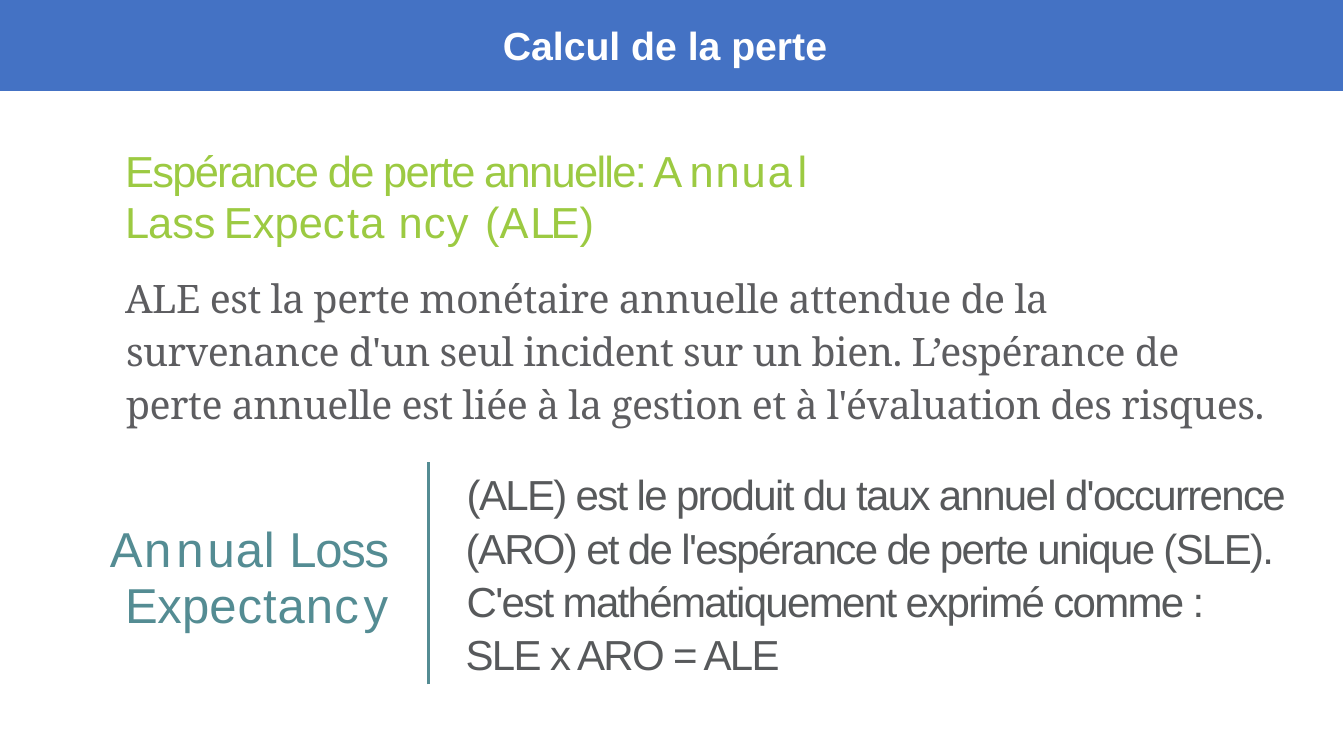
from dataclasses import dataclass

from lxml import etree
from pptx import Presentation
from pptx.dml.color import RGBColor
from pptx.enum.shapes import MSO_CONNECTOR, MSO_SHAPE
from pptx.enum.text import MSO_ANCHOR, PP_ALIGN
from pptx.oxml.ns import qn
from pptx.util import Inches, Pt

RECT, LINE = MSO_SHAPE.RECTANGLE, MSO_CONNECTOR.STRAIGHT
MIDDLE, CENTER = MSO_ANCHOR.MIDDLE, PP_ALIGN.CENTER
WIDE, HIGH = 13.33, 7.5
SANS, SERIF = "Arial", "Noto Serif"
COLORS = {"white": "FFFFFF", "blue": "4472C4", "green": "9CCA42",
          "teal": "548C93", "gray": "5D5D60", "slate": "57595B"}

Run = tuple[str, float]  # wording, letter spacing in points
Area = tuple[float, float, float, float]  # left, top, width, height in % of slide


@dataclass
class Block:
    area: Area
    paras: list[list[Run]]
    size: float
    color: str
    lead: float | Pt
    left: float = 0.01  # margin, inches
    first: float = 0  # first line indent, inches
    face: str = SANS


def across(share: float) -> int:
    return Inches(WIDE * share / 100)


def down(share: float) -> int:
    return Inches(HIGH * share / 100)


def place(area: Area) -> tuple[int, int, int, int]:
    x, y, w, h = area
    return across(x), down(y), across(w), down(h)


def tint(name: str) -> RGBColor:
    return RGBColor.from_string(COLORS[name])


def style(para, face: str, size: float, color: str, bold: bool = False) -> None:
    font = para.font
    font.name, font.size, font.bold = face, Pt(size), bold
    font.color.rgb = tint(color)


def write(slide, block: Block) -> None:
    frame = slide.shapes.add_textbox(*place(block.area)).text_frame
    frame.word_wrap = True
    frame.margin_left = frame.margin_right = 0
    frame.margin_top = frame.margin_bottom = 0
    for i, runs in enumerate(block.paras):
        para = frame.add_paragraph() if i else frame.paragraphs[0]
        style(para, block.face, block.size, block.color)
        para.line_spacing = block.lead
        props = para._p.get_or_add_pPr()
        props.set("marL", str(Inches(block.left)))
        props.set("indent", str(Inches(block.first)))
        for text, gap in runs:
            run = para.add_run()
            run.text = text
            run._r.get_or_add_rPr().set("spc", str(round(gap * 100)))


BLOCKS = [
    # Heading
    Block((9.23, 19.07, 53.49, 13.87), [[
        ("Espérance de perte annuelle: A ", -1.2), ("nnu", 1.4), ("a", 4),
        ("l ", 0.6), ("La", -0.7), ("s", 0), ("s ", -2.8), ("Ex", 0.1),
        ("p", -0.9), ("e", -0.2), ("c", 1.9), ("ta ", 0.8), ("n", 0.7),
        ("c", 1), ("y ", 1.6), ("(", -0.5), ("A", 1.4), ("LE", -2.7),
        (")", -1.4)]], 31, "green", Pt(36.9)),
    # Definition
    Block((9.23, 35.6, 85.07, 20.53), [[
        ("ALE est la perte monétaire annuelle attendue de la survenance "
         "d'un seul incident sur un bien. L’espérance de perte annuelle est "
         "liée à la gestion et à l'évaluation des risques.", -0.3)]],
        28, "gray", 1.12, 0.02, -0.01, SERIF),
    # Label left of the rule
    Block((8.1, 68.8, 21.08, 14.4), [[
        ("A", 1.1), ("n", 3.5), ("n", 2.9), ("u", 0.8), ("al ", 0.4),
        ("Loss ", -0.9), ("Ex", -0.2), ("p", -1.1), ("ectan", 0.7),
        ("c", 3.5), ("y", 1.9)]], 35, "teal", Pt(40.5), 0.16, -0.15),
    # Formula right of the rule
    Block((34.58, 61.6, 60.99, 28.53), [
        [("(ALE) est le produit du taux annuel d'occurrence (ARO) et de "
          "l'espérance de perte unique (SLE).", -1.2)],
        [("C'est mathématiquement exprimé comme : SLE x ARO = ALE", -1.2)]],
        30, "slate", 1.06, 0.01, 0.01),
]

deck = Presentation()
deck.slide_width, deck.slide_height = Inches(WIDE), Inches(HIGH)
slide = deck.slides.add_slide(deck.slide_layouts[6])

# Title bar
bar = slide.shapes.add_shape(RECT, *place((-0.23, -0.4, 100.23, 12.53)))
bar.shadow.inherit = False
bar.fill.solid()
bar.fill.fore_color.rgb = tint("blue")
bar.line.color.rgb = tint("white")
bar.line.width = Pt(1.5)
bar.text_frame.vertical_anchor = MIDDLE
title = bar.text_frame.paragraphs[0]
title.add_run().text = "Calcul de la perte "
title.alignment = CENTER
style(title, SANS, 28, "white", True)

# Vertical rule
rule = slide.shapes.add_connector(
    LINE, across(31.88), down(90.53), across(31.88), down(61.07))
rule.line.color.rgb = tint("teal")
rule.line.width = Pt(2.25)
etree.SubElement(rule._element.spPr, qn("a:effectLst"))

for block in BLOCKS:
    write(slide, block)

deck.save("out.pptx")
